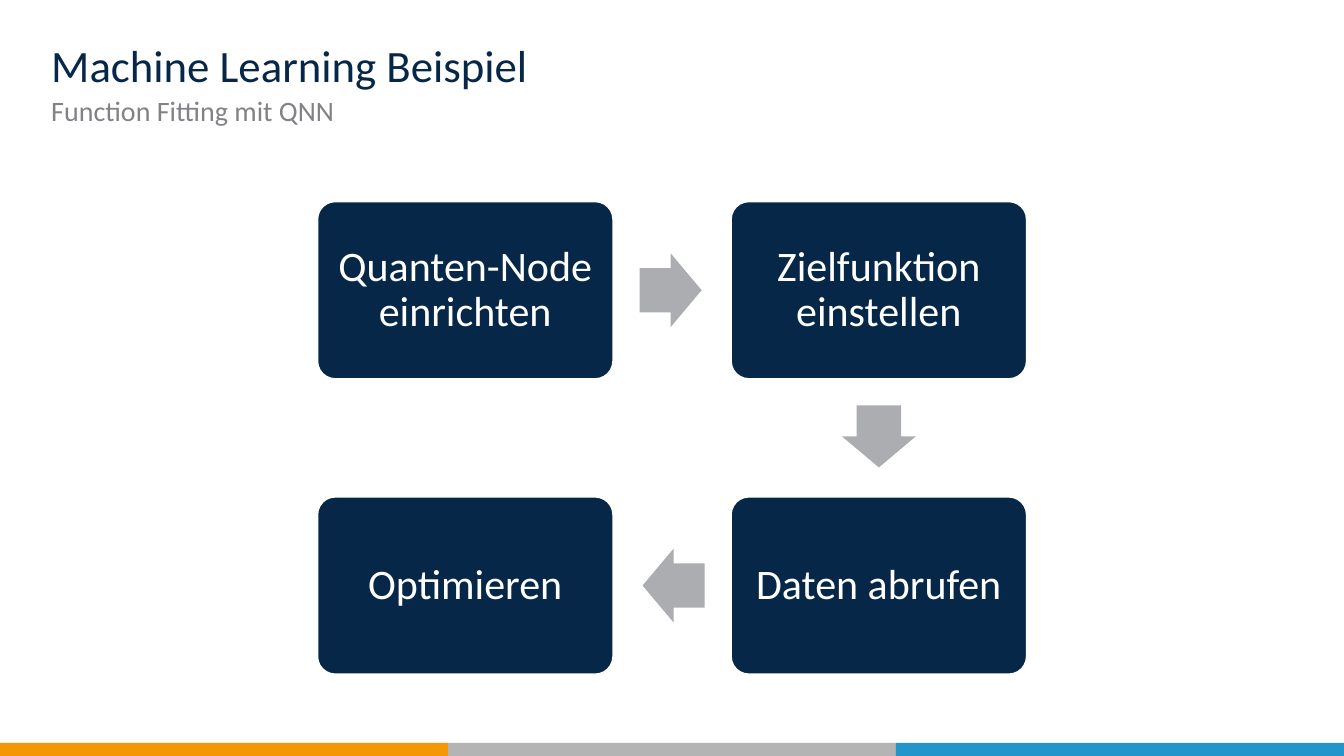
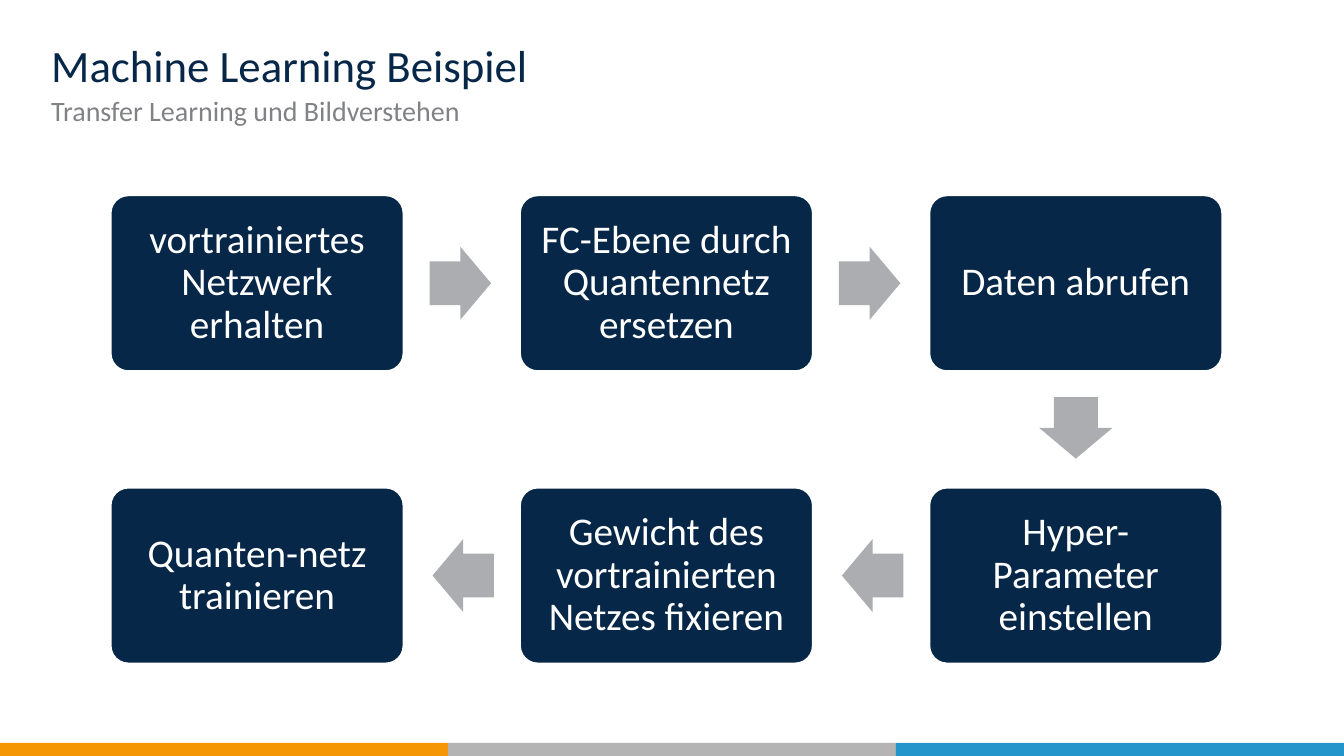
from dataclasses import dataclass

from pptx import Presentation
from pptx.dml.color import RGBColor
from pptx.enum.shapes import MSO_SHAPE as Preset
from pptx.enum.text import MSO_ANCHOR as Anchor, PP_ALIGN as Align
from pptx.shapes.autoshape import Shape
from pptx.slide import Slide
from pptx.text.text import TextFrame
from pptx.util import Inches, Pt

COLORS = {
    "navy": "062747",
    "white": "FFFFFF",
    "subtitle": "818286",
    "arrow": "ABADB1",
    "orange": "F59605",
    "gray": "B4B4B4",
    "blue": "2295CB",
}
FONT = "Calibri"
SLIDE_WIDTH, SLIDE_HEIGHT = 13.33, 7.5
BAND_TOP = 7.37

# Process proportions, relative to the width of a step
STEP_HEIGHT = 0.6
COLUMN_PITCH = 1.4
ROW_PITCH = 1.0
ARROW_LENGTH = 0.21
ARROW_BREADTH = 0.25
ARROW_GAP = 0.09


@dataclass(frozen=True)
class Process:
    """Steps that run right along the first row and back along the second."""
    title: str
    subtitle: str
    left: float
    top: float
    step_width: float
    font_size: int
    columns: int
    steps: tuple[str, ...]


PROCESSES = (
    Process(
        "Machine Learning Beispiel", "Function Fitting mit QNN",
        left=3.15, top=2.0, step_width=2.93, font_size=30, columns=2,
        steps=("Quanten-Node einrichten", "Zielfunktion einstellen",
               "Daten abrufen", "Optimieren"),
    ),
    Process(
        "Machine Learning Beispiel", "Transfer Learning und Bildverstehen",
        left=1.1, top=1.94, step_width=2.9, font_size=28, columns=3,
        steps=("vortrainiertes Netzwerk erhalten",
               "FC-Ebene durch Quantennetz ersetzen",
               "Daten abrufen",
               "Hyper-Parameter einstellen",
               "Gewicht des vortrainierten Netzes fixieren",
               "Quanten-netz trainieren"),
    ),
)


def rgb(color: str) -> RGBColor:
    return RGBColor.from_string(COLORS[color])


def add_filled(slide: Slide, preset: Preset, left: float, top: float,
               width: float, height: float, color: str) -> Shape:
    shape = slide.shapes.add_shape(
        preset, Inches(left), Inches(top), Inches(width), Inches(height))
    shape.shadow.inherit = False
    shape.fill.solid()
    shape.fill.fore_color.rgb = rgb(color)
    shape.line.fill.background()
    return shape


def write(frame: TextFrame, text: str, size: int, color: str, align: Align) -> None:
    frame.word_wrap = True
    paragraph = frame.paragraphs[0]
    paragraph.text = text
    paragraph.alignment = align
    paragraph.line_spacing = 0.9
    paragraph.font.name = FONT
    paragraph.font.size = Pt(size)
    paragraph.font.color.rgb = rgb(color)


def add_heading(slide: Slide, text: str, top: float, size: int, color: str) -> None:
    heading = slide.shapes.add_textbox(
        Inches(0.41), Inches(top), Inches(12.37), Inches(0.47))
    write(heading.text_frame, text, size, color, Align.LEFT)


def add_frame(slide: Slide, title: str, subtitle: str) -> None:
    # Footer band in three equal parts
    part_width = SLIDE_WIDTH / 3
    for index, color in enumerate(("orange", "gray", "blue")):
        add_filled(slide, Preset.RECTANGLE, index * part_width, BAND_TOP,
                   part_width, SLIDE_HEIGHT - BAND_TOP, color)
    # Title and subtitle
    add_heading(slide, title, 0.39, 32, "navy")
    add_heading(slide, subtitle, 0.92, 20, "subtitle")


def add_step(slide: Slide, text: str, center: tuple[float, float],
             width: float, font_size: int) -> None:
    height = width * STEP_HEIGHT
    step = add_filled(slide, Preset.ROUNDED_RECTANGLE, center[0] - width / 2,
                      center[1] - height / 2, width, height, "navy")
    step.adjustments[0] = 0.1
    step.line.color.rgb = rgb("white")
    step.line.width = Pt(1)
    frame = step.text_frame
    frame.vertical_anchor = Anchor.MIDDLE
    frame.margin_left = frame.margin_right = Inches(0.12)
    frame.margin_top = frame.margin_bottom = Inches(0.12)
    write(frame, text, font_size, "white", Align.CENTER)


def add_arrow(slide: Slide, start: tuple[float, float],
              end: tuple[float, float], step_width: float) -> None:
    """Draw the arrow that leaves the step centred at start towards end."""
    length, breadth = step_width * ARROW_LENGTH, step_width * ARROW_BREADTH
    (x, y), (next_x, next_y) = start, end
    clearance = step_width * ARROW_GAP + length / 2
    if next_y > y:
        rotation = 90
        y += step_width * STEP_HEIGHT / 2 + clearance
    elif next_x > x:
        rotation = 0
        x += step_width / 2 + clearance
    else:
        rotation = 180
        x -= step_width / 2 + clearance
    arrow = add_filled(slide, Preset.RIGHT_ARROW, x - length / 2,
                       y - breadth / 2, length, breadth, "arrow")
    arrow.adjustments[0], arrow.adjustments[1] = 0.6, 0.5
    arrow.rotation = rotation


def add_process(slide: Slide, process: Process) -> None:
    width = process.step_width
    centers = []
    for index in range(len(process.steps)):
        row, column = divmod(index, process.columns)
        if row % 2:
            column = process.columns - 1 - column
        centers.append((
            process.left + width * (0.5 + column * COLUMN_PITCH),
            process.top + width * (STEP_HEIGHT / 2 + row * ROW_PITCH)))
    for text, center in zip(process.steps, centers):
        add_step(slide, text, center, width, process.font_size)
    for start, end in zip(centers, centers[1:]):
        add_arrow(slide, start, end, width)


def main() -> None:
    presentation = Presentation()
    presentation.slide_width = Inches(SLIDE_WIDTH)
    presentation.slide_height = Inches(SLIDE_HEIGHT)
    blank = presentation.slide_layouts[6]
    for process in PROCESSES:
        slide = presentation.slides.add_slide(blank)
        add_frame(slide, process.title, process.subtitle)
        add_process(slide, process)
    presentation.save("out.pptx")


if __name__ == "__main__":
    main()
